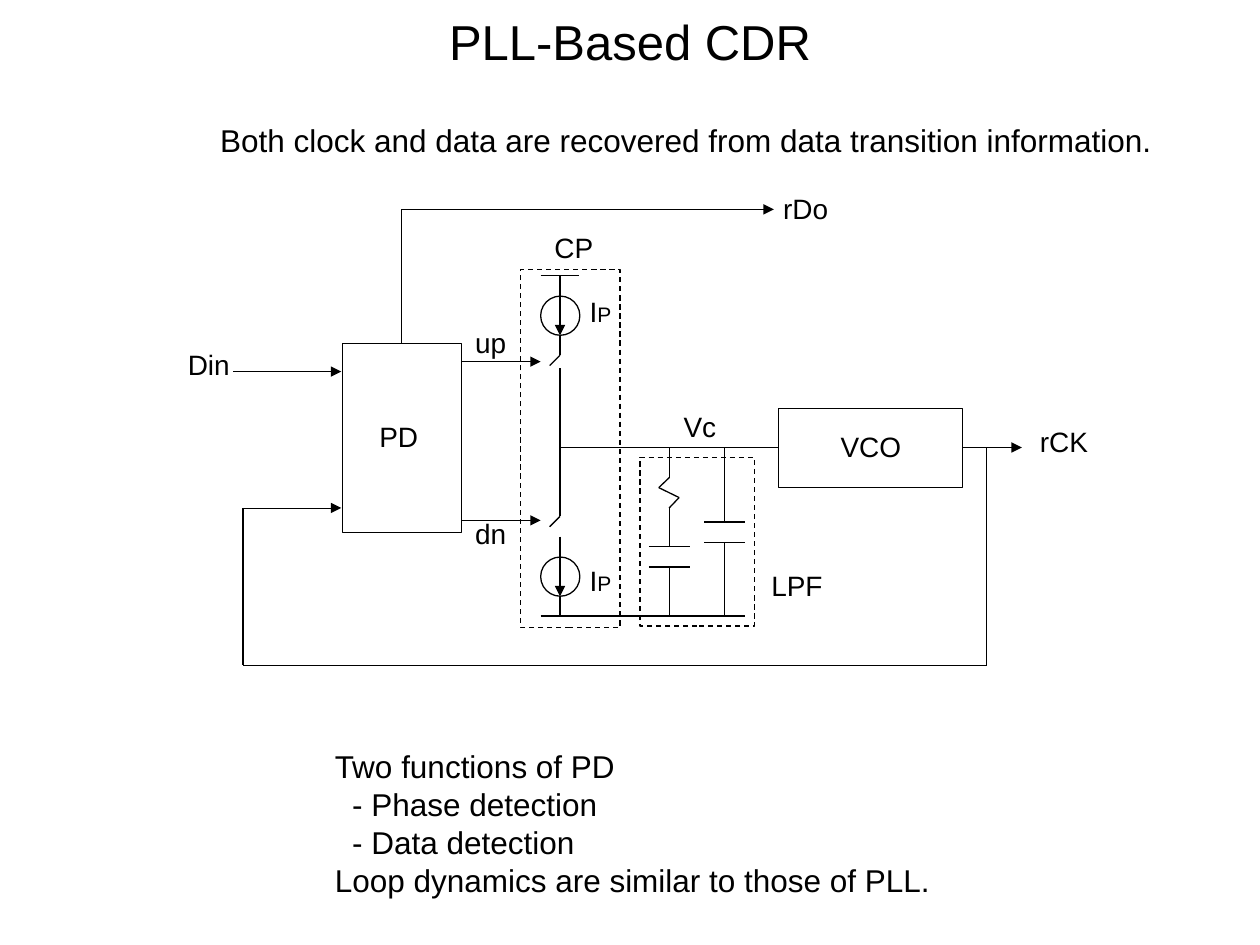
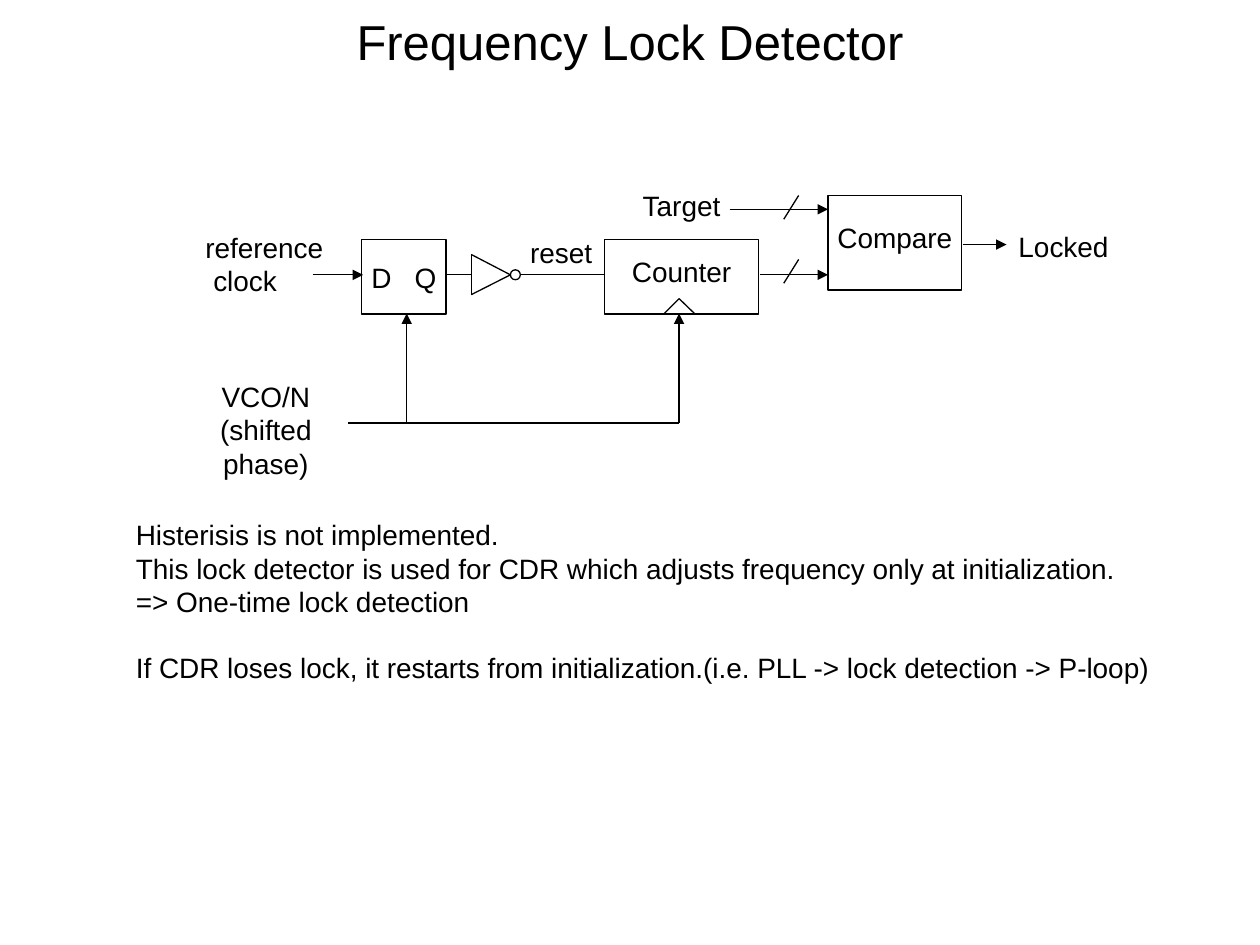
"""Build two circuit slides: a PLL-based CDR and a frequency lock detector."""
import itertools

import lxml.etree
import pptx
import pptx.dml.color
import pptx.enum.dml
import pptx.enum.shapes
import pptx.enum.text
import pptx.oxml.ns
import pptx.util

Cm, Pt = pptx.util.Cm, pptx.util.Pt
ALIGN = pptx.enum.text.PP_ALIGN
SHAPE = pptx.enum.shapes.MSO_SHAPE

THEME = {
    "ink": pptx.dml.color.RGBColor(0, 0, 0),
    "font": "Arial",
    "title": Pt(28),
    "note": Pt(18),
    "label": Pt(16),
    "subscript": Pt(12),
    "line": Pt(0.75),
    "thin": Pt(0.25),
}
SLIDE_SIZE = (25.4, 19.05)
TITLE_BOX = (0, 0.1, 25.4, 1.45)
LABEL_HEIGHT = 0.93
PLATE_HALF, PLATE_GAP = 0.41, 0.41
SOURCE_SIZE = 0.79


def capacitor(x, top):
    """Return the two plates of a capacitor."""
    return [("wire", [(x - PLATE_HALF, y), (x + PLATE_HALF, y)])
            for y in (top, top + PLATE_GAP)]


def current_source(x, top):
    """Return the arrow inside a current source."""
    return [("arrow", [(x, top), (x, top + SOURCE_SIZE)])]


def bus_slash(top):
    """Return the slash that marks a bus."""
    return [("wire", [(16.1, top), (15.8, top + 0.48)])]


CDR = {
    "title": "PLL-Based CDR",
    "boxes": [
        ("solid", 6.91, 6.93, 2.39, 3.81),
        ("solid", 15.7, 8.23, 3.71, 1.6),
        ("dash", 12.9, 9.22, 2.31, 3.4),
        ("dash", 10.49, 5.44, 2.01, 7.21),
    ],
    "circles": [(10.9, 5.97, SOURCE_SIZE), (10.9, 11.23, SOURCE_SIZE)],
    "wires": [
        ("thin arrow", [(4.7, 7.49), (6.88, 7.49)]),
        ("thin arrow", [(4.9, 10.24), (6.88, 10.24)]),
        ("wire", [(4.9, 10.24), (4.9, 13.41), (19.89, 13.41), (19.89, 9.02)]),
        ("arrow", [(8.1, 6.93), (8.1, 4.22), (15.6, 4.22)]),
        ("arrow", [(9.3, 7.29), (10.9, 7.29)]),
        ("arrow", [(9.3, 10.49), (10.9, 10.49)]),
        ("arrow", [(19.41, 9.02), (20.6, 9.02)]),
        ("wire", [(10.9, 5.56), (11.68, 5.56)]),
        ("wire", [(11.29, 5.56), (11.29, 5.97)]),
        ("wire", [(11.29, 6.76), (11.29, 7.16), (11.08, 7.37)]),
        ("wire", [(11.29, 7.42), (11.29, 10.41), (11.08, 10.62)]),
        ("wire", [(11.29, 10.82), (11.29, 11.23)]),
        ("wire", [(11.29, 12.02), (11.29, 12.42)]),
        ("wire", [(10.9, 12.42), (15.01, 12.42)]),
        ("wire", [(11.29, 9.02), (15.7, 9.02)]),
        ("wire", [(13.49, 9.02), (13.49, 9.63), (13.28, 9.83),
                  (13.69, 10.03), (13.49, 10.24), (13.49, 11.02)]),
        ("wire", [(13.49, 11.43), (13.49, 12.42)]),
        ("wire", [(14.61, 9.02), (14.61, 10.52)]),
        ("wire", [(14.61, 10.93), (14.61, 12.42)]),
        *capacitor(13.49, 11.02),
        *capacitor(14.61, 10.52),
        *current_source(11.29, 5.97),
        *current_source(11.29, 11.23),
    ],
    "labels": [
        (["PD"], 7.39, 8.33, 1.3),
        (["VCO"], 16.69, 8.53, 1.73),
        (["up"], 9.09, 6.43, 1.6),
        (["dn"], 9.09, 10.29, 1.6),
        (["Vc"], 13.31, 8.13, 1.6),
        (["LPF"], 15.29, 11.33, 1.55),
        (["CP"], 10.92, 4.52, 1.3),
        (["Din"], 3.51, 6.88, 1.4),
        (["rCK"], 20.6, 8.43, 1.7),
        (["rDo"], 15.39, 3.73, 1.7),
        (["I", "P"], 11.51, 5.82, 1.19),
        (["I", "P"], 11.51, 11.23, 1.19),
    ],
    "texts": [
        ("note", ALIGN.LEFT, (4.19, 2.31, 19.46, 1.02), [
            ("Both clock and data are recovered from data transition information.", {}),
        ]),
        ("note", ALIGN.LEFT, (6.5, 14.94, 12.62, 3.33), [
            ("Two functions of PD", {}),
            ("- Phase detection", {"indent": 0.35}),
            ("- Data detection", {"indent": 0.35}),
            ("Loop dynamics are similar to those of PLL.", {}),
        ]),
    ],
}

LOCK_DETECTOR = {
    "title": "Frequency Lock Detector",
    "boxes": [
        ("solid", 7.29, 4.83, 1.7, 1.5),
        ("solid", 12.19, 4.83, 3.1, 1.5),
        ("solid", 16.69, 3.94, 2.69, 1.91),
    ],
    "circles": [(10.29, 5.44, 0.2)],
    "wires": [
        ("arrow", [(6.3, 5.54), (7.32, 5.54)]),
        ("wire", [(8.99, 5.54), (9.5, 5.54)]),
        ("wire", [(9.5, 5.13), (10.29, 5.54), (9.5, 5.94), (9.5, 5.13)]),
        ("wire", [(10.49, 5.54), (12.19, 5.54)]),
        ("arrow", [(8.2, 8.53), (8.2, 6.32)]),
        ("arrow", [(7.01, 8.53), (13.69, 8.53), (13.69, 6.32)]),
        ("wire", [(13.39, 6.32), (13.69, 6.02), (14, 6.32)]),
        ("arrow", [(15.32, 5.54), (16.69, 5.54)]),
        ("arrow", [(14.71, 4.22), (16.69, 4.22)]),
        ("arrow", [(19.41, 4.93), (20.29, 4.93)]),
        *bus_slash(3.94),
        *bus_slash(5.23),
    ],
    "labels": [
        (["D"], 7.19, 5.13, 1),
        (["Q"], 8.08, 5.13, 1),
        (["Counter"], 12.29, 5, 2.9),
        (["Compare"], 16.59, 4.32, 2.9),
        (["Locked"], 19.99, 4.5, 2.9),
        (["reset"], 10.31, 4.62, 2.01),
        (["Target"], 12.29, 3.68, 2.9),
    ],
    "texts": [
        ("label", ALIGN.LEFT, (3.89, 4.52, 3.1, 1.63), [
            ("reference", {}),
            ("clock", {"indent": 0.16}),
        ]),
        ("label", ALIGN.CENTER, (3.71, 7.52, 3.3, 2.31), [
            ("VCO/N", {}),
            ("(shifted phase)", {}),
        ]),
        ("label", ALIGN.LEFT, (2.49, 10.31, 21.11, 3.66), [
            ("Histerisis is not implemented.", {}),
            ("This lock detector is used for CDR which adjusts frequency only at initialization.", {}),
            ("=> One-time lock detection", {}),
            ("If CDR loses lock, it restarts from initialization.(i.e. PLL -> lock detection -> P-loop)",
             {"space_before": 0.65}),
        ]),
    ],
}


def apply(target, values):
    """Set every attribute named in values on target."""
    for name, value in values.items():
        setattr(target, name, value)


def draw_line_format(line, width):
    """Give an outline the shared ink colour and a width."""
    line.fill.solid()
    line.fill.fore_color.rgb = THEME["ink"]
    line.width = width


def add_text(slide, box, paragraphs, size, alignment, wrap=True):
    """Add a text box; each paragraph is a list of runs and its spacing."""
    frame = slide.shapes.add_textbox(*map(Cm, box)).text_frame
    apply(frame, {"word_wrap": wrap,
                  "auto_size": pptx.enum.text.MSO_AUTO_SIZE.SHAPE_TO_FIT_TEXT})
    for index, (runs, spacing) in enumerate(paragraphs):
        paragraph = frame.add_paragraph() if index else frame.paragraphs[0]
        paragraph.alignment = alignment
        if "space_before" in spacing:
            paragraph.space_before = Cm(spacing["space_before"])
        if "indent" in spacing:
            paragraph._p.get_or_add_pPr().set("marL", str(Cm(spacing["indent"])))
        for position, text in enumerate(runs):
            run = paragraph.add_run()
            run.text = text
            run_size = THEME["subscript"] if position else size
            apply(run.font, {"name": THEME["font"], "size": run_size})
            run.font.color.rgb = THEME["ink"]


def add_outline(slide, preset, box, dashed=False):
    """Add an unfilled preset shape."""
    shape = slide.shapes.add_shape(preset, *map(Cm, box))
    shape.shadow.inherit = False
    shape.fill.background()
    draw_line_format(shape.line, THEME["line"])
    if dashed:
        shape.line.dash_style = pptx.enum.dml.MSO_LINE.DASH


def add_wire(slide, kind, points):
    """Join points with straight connectors, with an arrowhead at the end if asked."""
    width = THEME["thin" if "thin" in kind else "line"]
    qualified = pptx.oxml.ns.qn
    for start, end in itertools.pairwise(points):
        connector = slide.shapes.add_connector(
            pptx.enum.shapes.MSO_CONNECTOR.STRAIGHT, *map(Cm, start + end))
        draw_line_format(connector.line, width)
        properties = connector._element.spPr
        lxml.etree.SubElement(properties, qualified("a:effectLst"))
        if "arrow" in kind and end == points[-1]:
            outline = properties.find(qualified("a:ln"))
            lxml.etree.SubElement(outline, qualified("a:tailEnd"), type="triangle")


def add_circuit_slide(presentation, content):
    """Add one slide from its content."""
    slide = presentation.slides.add_slide(presentation.slide_layouts[6])
    add_text(slide, TITLE_BOX, [([content["title"]], {})], THEME["title"], ALIGN.CENTER)
    for style, *box in content["boxes"]:
        add_outline(slide, SHAPE.RECTANGLE, box, style == "dash")
    for left, top, diameter in content["circles"]:
        add_outline(slide, SHAPE.OVAL, (left, top, diameter, diameter))
    for kind, points in content["wires"]:
        add_wire(slide, kind, points)
    for runs, left, top, width in content["labels"]:
        add_text(slide, (left, top, width, LABEL_HEIGHT), [(runs, {})],
                 THEME["label"], ALIGN.CENTER, wrap=False)
    for size, alignment, box, lines in content["texts"]:
        paragraphs = [([text], spacing) for text, spacing in lines]
        add_text(slide, box, paragraphs, THEME[size], alignment)


def main():
    """Build and save the presentation."""
    presentation = pptx.Presentation()
    width, height = map(Cm, SLIDE_SIZE)
    apply(presentation, {"slide_width": width, "slide_height": height})
    for content in (CDR, LOCK_DETECTOR):
        add_circuit_slide(presentation, content)
    presentation.save("out.pptx")


if __name__ == "__main__":
    main()
